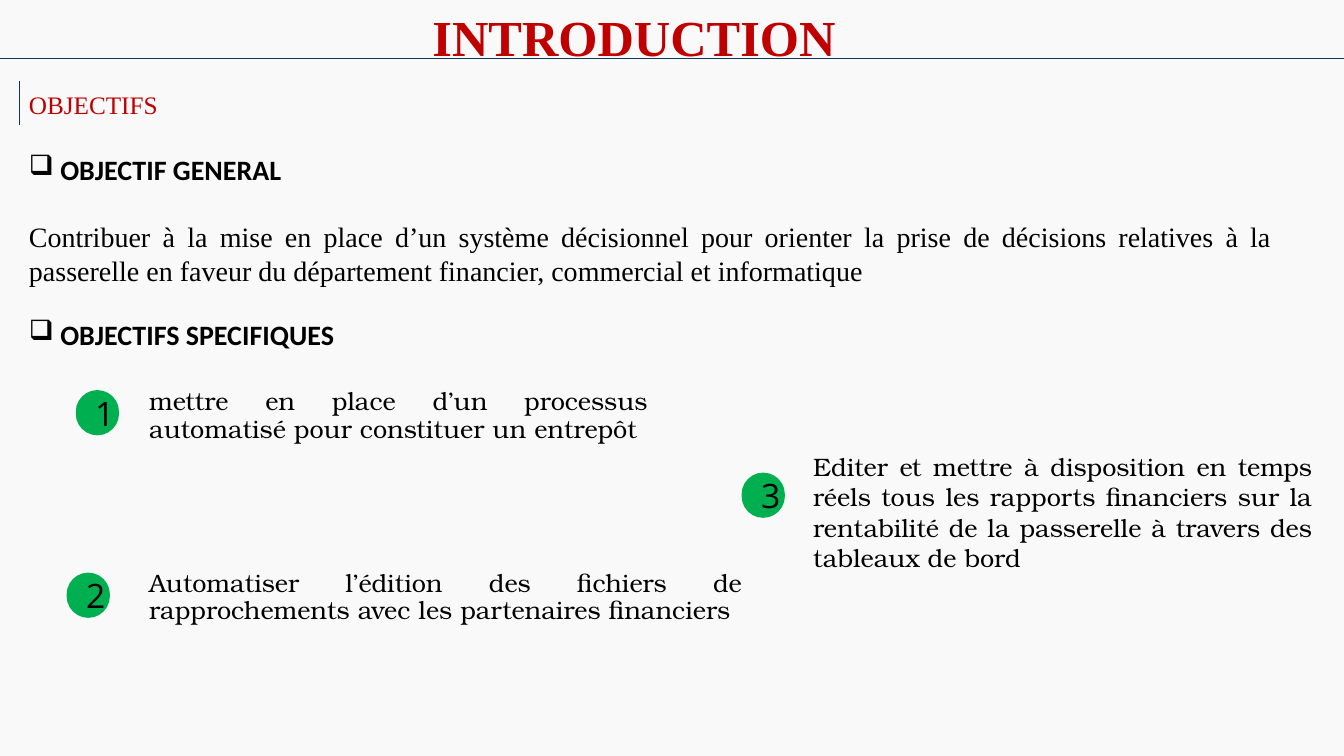
from dataclasses import dataclass

from lxml.etree import SubElement
from pptx import Presentation
from pptx.dml.color import RGBColor as RGB
from pptx.enum.shapes import MSO_CONNECTOR as Link, MSO_SHAPE as Form
from pptx.enum.text import MSO_ANCHOR as Anchor, PP_ALIGN as Align
from pptx.oxml.ns import qn
from pptx.shapes.base import BaseShape
from pptx.slide import Slide
from pptx.text.text import TextFrame
from pptx.util import Cm, Pt


@dataclass(frozen=True)
class Theme:
    back: str = "F9F9F9"
    red: str = "C00000"
    green: str = "00B050"
    navy: str = "0C395E"
    black: str = "000000"
    serif: str = "Times New Roman"
    sans: str = "Calibri"
    digit: str = "Open Sans"
    book: str = "TeX Gyre Bonum"
    title: int = 36
    mark: int = 24
    body: int = 20
    small: int = 18


@dataclass(frozen=True)
class Box:
    left: float
    top: float
    width: float
    height: float

    def spread(self) -> tuple[Cm, ...]:
        return tuple(Cm(n) for n in (self.left, self.top, self.width, self.height))


@dataclass(frozen=True)
class Goal:
    mark: Box
    area: Box
    text: str
    lead: float | None = None


THEME = Theme()
DOT = (1.09, 1.14)
GOALS = (
    Goal(Box(1.91, 9.83, *DOT), Box(3.51, 9.68, 13.06, 1.52),
         "mettre en place d’un processus automatisé pour constituer un entrepôt", 0.9),
    Goal(Box(1.68, 14.43, *DOT), Box(3.51, 14.25, 15.44, 1.52),
         "Automatiser l’édition des fichiers de rapprochements avec les partenaires financiers", 0.9),
    Goal(Box(18.69, 11.91, *DOT), Box(20.24, 11.25, 13.08, 2.46),
         "Editer et mettre à disposition en temps réels tous les rapports financiers "
         "sur la rentabilité de la passerelle à travers des tableaux de bord"),
)
RULES = ((0, 1.47, 33.87, 1.47), (0.48, 2.03, 0.48, 3.15))


def write(frame: TextFrame, text: str, *, font: str, size: int, color: str = THEME.black,
          bold: bool = False, align: Align = Align.LEFT, lead: float | None = None,
          after: float = 0, bullet: str = "") -> None:
    para = frame.add_paragraph() if frame.text else frame.paragraphs[0]
    para.alignment = align
    para.space_after = Pt(after)
    if lead:
        para.line_spacing = lead
    if bullet:
        props = para._p.get_or_add_pPr()
        props.set("marL", str(Cm(0.79)))
        props.set("indent", str(-Cm(0.79)))
        SubElement(props, qn("a:buChar")).set("char", bullet)
    run = para.add_run()
    run.text = text
    run.font.name = font
    run.font.size = Pt(size)
    run.font.bold = bold
    run.font.color.rgb = RGB.from_string(color)


def add_box(slide: Slide, box: Box) -> TextFrame:
    frame = slide.shapes.add_textbox(*box.spread()).text_frame
    frame.word_wrap = True
    return frame


def add_dot(slide: Slide, box: Box) -> BaseShape:
    dot = slide.shapes.add_shape(Form.ROUNDED_RECTANGLE, *box.spread())
    dot.adjustments[0] = 0.5
    dot.shadow.inherit = False
    dot.fill.solid()
    dot.fill.fore_color.rgb = RGB.from_string(THEME.green)
    dot.line.fill.background()
    frame = dot.text_frame
    frame.word_wrap = True
    frame.vertical_anchor = Anchor.MIDDLE
    frame.margin_left = frame.margin_right = Cm(0.33)
    frame.margin_top = frame.margin_bottom = Cm(0.33)
    return dot


def add_goal(slide: Slide, index: int, goal: Goal) -> None:
    dot = add_dot(slide, goal.mark)
    write(dot.text_frame, str(index), font=THEME.digit, size=THEME.mark, align=Align.CENTER)
    write(add_box(slide, goal.area), goal.text, font=THEME.book, size=THEME.small,
          align=Align.JUSTIFY, lead=goal.lead)


def add_rule(slide: Slide, ends: tuple[float, ...]) -> None:
    rule = slide.shapes.add_connector(Link.STRAIGHT, *(Cm(n) for n in ends))
    rule.line.color.rgb = RGB.from_string(THEME.navy)
    rule.line.width = Pt(0.75)
    SubElement(rule._element.spPr, qn("a:effectLst"))


def main() -> None:
    deck = Presentation()
    deck.slide_width, deck.slide_height = Cm(33.87), Cm(19.05)
    slide = deck.slides.add_slide(deck.slide_layouts[6])
    slide.background.fill.solid()
    slide.background.fill.fore_color.rgb = RGB.from_string(THEME.back)

    title = add_box(slide, Box(1.91, -0.28, 28.14, 2.36))
    title.vertical_anchor = Anchor.MIDDLE
    title.margin_top = Cm(0.18)
    write(title, "INTRODUCTION", font=THEME.serif, size=THEME.title, color=THEME.red,
          bold=True, align=Align.CENTER)

    body = add_box(slide, Box(0.48, 3.71, 31.83, 6.93))
    head = dict(font=THEME.sans, size=THEME.body, bold=True, bullet="❑")
    write(body, "OBJECTIF GENERAL", after=24, **head)
    write(body, "Contribuer à la mise en place d’un système décisionnel pour orienter la prise "
          "de décisions relatives à la passerelle en faveur du département financier, "
          "commercial et informatique", font=THEME.serif, size=THEME.body,
          align=Align.JUSTIFY, after=22)
    write(body, "OBJECTIFS SPECIFIQUES", **head)

    for index, goal in enumerate(GOALS, 1):
        add_goal(slide, index, goal)
    for ends in RULES:
        add_rule(slide, ends)
    write(add_box(slide, Box(0.48, 2.13, 15.49, 1.02)), "OBJECTIFS", font=THEME.serif,
          size=THEME.small, color=THEME.red)
    deck.save("out.pptx")


if __name__ == "__main__":
    main()
